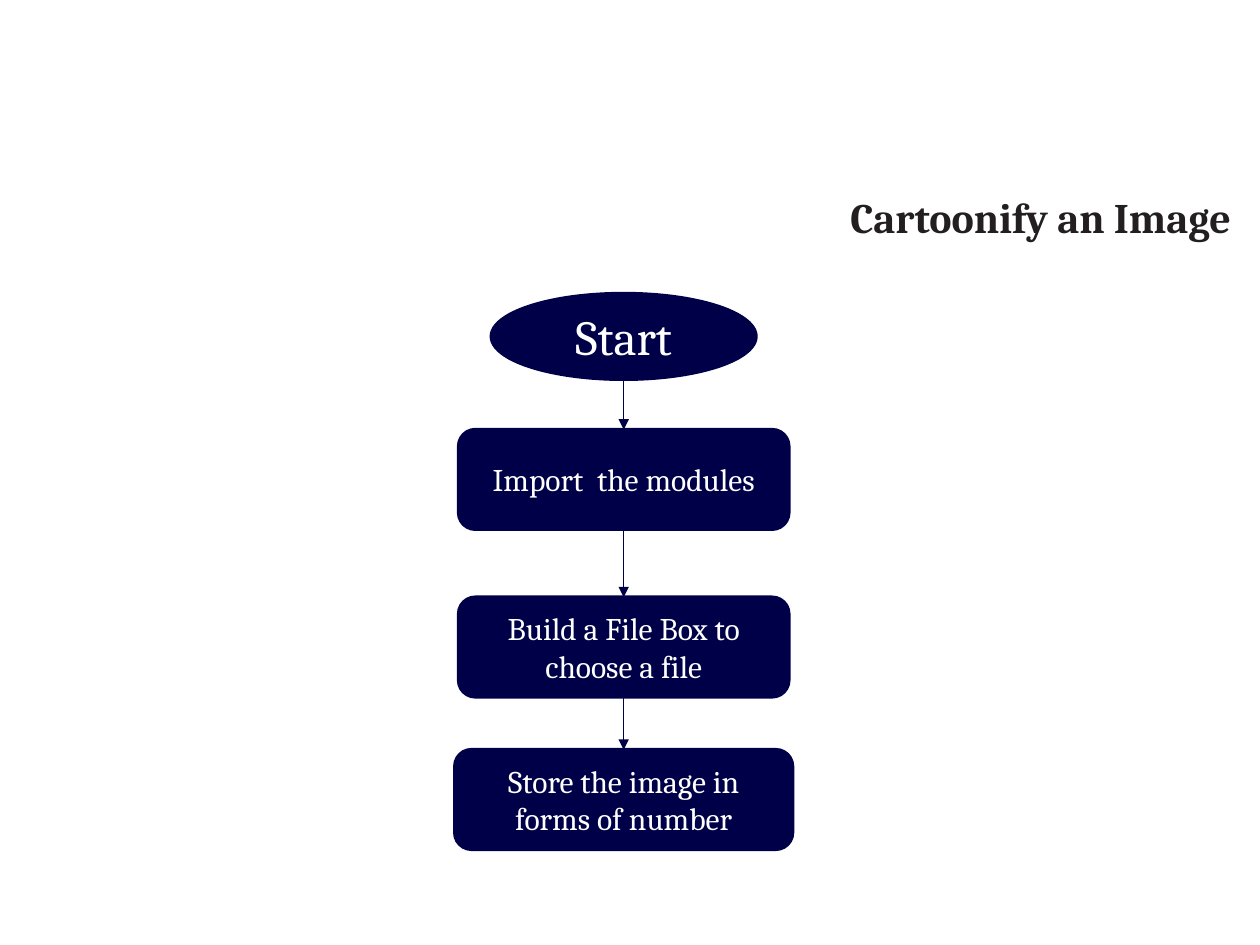
from itertools import pairwise
from pptx import Presentation
from pptx.dml.color import RGBColor
from pptx.enum.shapes import MSO_CONNECTOR, MSO_SHAPE
from pptx.enum.text import MSO_ANCHOR, MSO_AUTO_SIZE, PP_ALIGN
from pptx.oxml.ns import qn
from pptx.util import Inches, Pt
from lxml.etree import SubElement

NAVY = "000048"
STEPS = [
    ("Start", 2.33, 2.1, 0.68),
    ("Import  the modules", 3.41, 2.62, 0.79),
    ("Build a File Box to choose a file", 4.74, 2.62, 0.79),
    ("Store the image in forms of number", 5.95, 2.68, 0.79),
]


def color(code):
    return RGBColor.from_string(code)


def write(frame, text, size, code, bold=False):
    frame.text = text
    font = frame.paragraphs[0].runs[0].font
    font.name = "Cambria"
    font.size = Pt(size)
    font.bold = bold
    font.color.rgb = color(code)


def add_title(slide, left, top, width, height):
    box = slide.shapes.add_textbox(left, top, width, height)
    frame = box.text_frame
    frame.word_wrap = False
    frame.auto_size = MSO_AUTO_SIZE.SHAPE_TO_FIT_TEXT
    write(frame, "Cartoonify an Image", 24, "231F20", True)


def add_node(slide, kind, text, size, left, top, width, height):
    node = slide.shapes.add_shape(kind, left, top, width, height)
    node.shadow.inherit = False
    node.fill.solid()
    node.fill.fore_color.rgb = color(NAVY)
    node.line.color.rgb = color(NAVY)
    node.line.width = Pt(2)
    frame = node.text_frame
    frame.word_wrap = True
    frame.vertical_anchor = MSO_ANCHOR.MIDDLE
    write(frame, text, size, "FFFFFF")
    frame.paragraphs[0].alignment = PP_ALIGN.CENTER
    return node


def add_arrow(slide, mid, start, end):
    arrow = slide.shapes.add_connector(
        MSO_CONNECTOR.STRAIGHT, mid, start.top + start.height, mid, end.top
    )
    if start.auto_shape_type == MSO_SHAPE.ROUNDED_RECTANGLE:
        arrow.begin_connect(start, 2)
    arrow.end_connect(end, 0)
    arrow.line.color.rgb = color(NAVY)
    arrow.line.width = Pt(0.75)
    SubElement(arrow.line._get_or_add_ln(), qn("a:tailEnd"), type="triangle")
    SubElement(arrow._element.spPr, qn("a:effectLst"))


def add_flow(slide, mid):
    nodes = []
    for text, top, width, height in STEPS:
        first = not nodes
        kind = MSO_SHAPE.OVAL if first else MSO_SHAPE.ROUNDED_RECTANGLE
        wide = Inches(width)
        nodes.append(add_node(
            slide, kind, text, 28 if first else 18,
            mid - wide // 2, Inches(top), wide, Inches(height),
        ))
    for start, end in pairwise(nodes):
        add_arrow(slide, mid, start, end)


def main():
    deck = Presentation()
    deck.slide_width = Inches(10)
    deck.slide_height = Inches(7.5)
    slide = deck.slides.add_slide(deck.slide_layouts[6])
    add_title(slide, Inches(6.65), Inches(1.47), Inches(3.45), Inches(0.5))
    add_flow(slide, Inches(4.95))
    deck.save("out.pptx")


if __name__ == "__main__":
    main()
